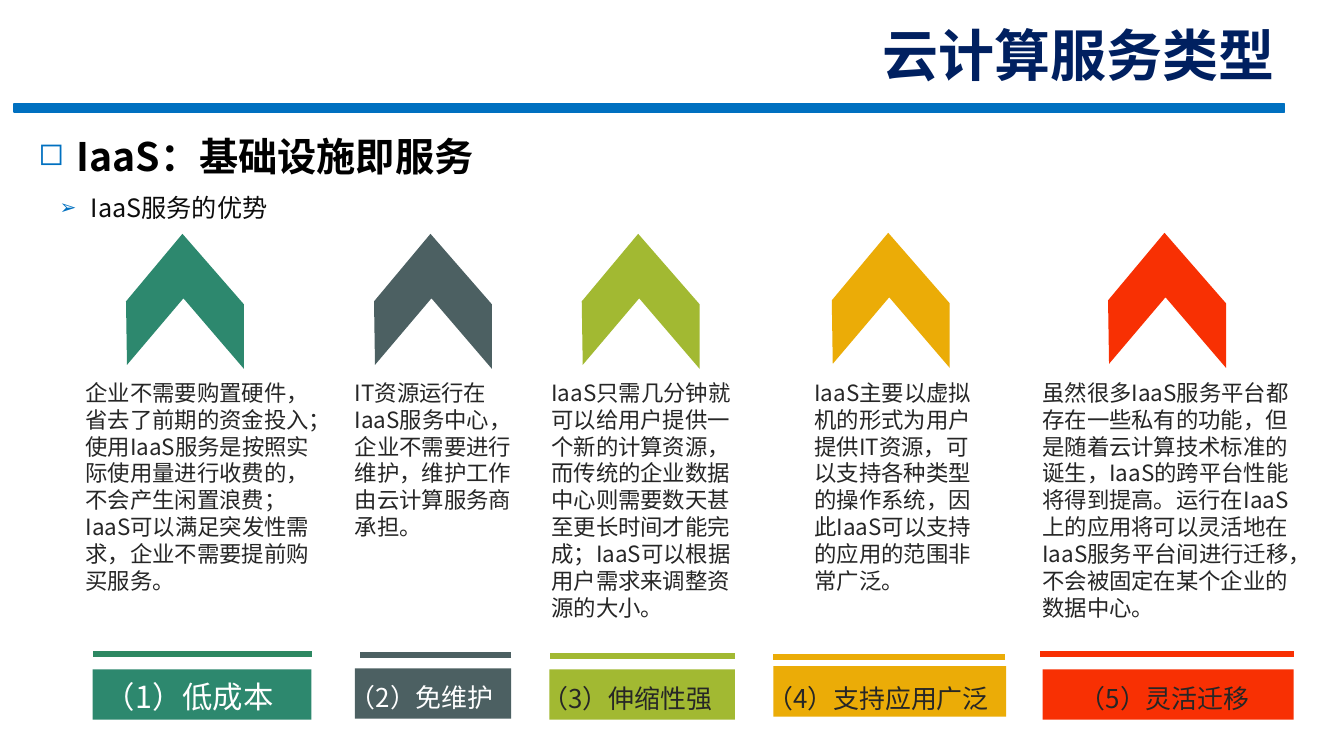
from lxml import etree
from pptx import Presentation
from pptx import util as u
from pptx.dml.color import RGBColor
from pptx.enum import shapes, text
from pptx.oxml.ns import qn

PX = 9144  # EMU per px, 100 px to the inch
CJK = "Noto Sans CJK SC"
BLUE, DARK, WHITE = "0070C0", "262626", "FFFFFF"
BODY_TOP, LABEL_HEIGHT = 371, 50
CHEVRON = [(117, 70), (117, 134), (57, 64), (1, 130), (0, 67), (56, 0)]

# One column per advantage; spans are (left, width), places are (left, top)
COLUMNS = [
    dict(fill="2D886E", rule_color="2D8862", chevron=(125, 232), rule=(92, 217, 649),
         bar=(92, 664, 217), body=(75, 250, 225), label=(94, 664, 215),
         name="（1）低成本", name_color=WHITE,
         detail="企业不需要购置硬件，省去了前期的资金投入；使用IaaS服务是按照实际使用量进行收费的，"
                "不会产生闲置浪费；IaaS可以满足突发性需求，企业不需要提前购买服务。"),
    dict(fill="4C6062", chevron=(371, 232), rule=(357, 150, 650),
         bar=(352, 663, 155), body=(342, 182, 172), label=(334, 663, 194),
         name="（2）免维护", name_color=WHITE,
         detail="IT资源运行在IaaS服务中心，企业不需要进行维护，维护工作由云计算服务商承担。"),
    dict(fill="A2B932", chevron=(577, 232), rule=(545, 184, 651),
         bar=(545, 664, 184), body=(537, 208, 252), label=(525, 664, 214),
         name="（3）伸缩性强", name_color=DARK,
         detail="IaaS只需几分钟就可以给用户提供一个新的计算资源，而传统的企业数据中心则需要数天甚至"
                "更长时间才能完成；IaaS可以根据用户需求来调整资源的大小。"),
    dict(fill="EBAC07", chevron=(825, 231), rule=(767, 230, 652),
         bar=(767, 661, 231), body=(798, 187, 225), label=(748, 664, 262),
         name="（4）支持应用广泛", name_color=DARK,
         detail="IaaS主要以虚拟机的形式为用户提供IT资源，可以支持各种类型的操作系统，"
                "因此IaaS可以支持的应用的范围非常广泛。"),
    dict(fill="F83003", chevron=(1099, 231), rule=(1032, 251, 649),
         bar=(1034, 664, 249), body=(1024, 268, 252), label=(1058, 664, 209),
         name="（5）灵活迁移", name_color=DARK,
         detail="虽然很多IaaS服务平台都存在一些私有的功能，但是随着云计算技术标准的诞生，"
                "IaaS的跨平台性能将得到提高。运行在IaaS上的应用将可以灵活地在IaaS服务平台间进行迁移，"
                "不会被固定在某个企业的数据中心。"),
]


def px(*lengths):
    return [u.Emu(length * PX) for length in lengths]


def color(value):
    return RGBColor.from_string(value)


def set_values(target, values):
    for name, value in values.items():
        setattr(target, name, value)


def paint(shape, fill, line=None):
    shape.shadow.inherit = False
    shape.fill.solid()
    shape.fill.fore_color.rgb = color(fill)
    if line:
        shape.line.color.rgb = color(line)
        shape.line.width = u.Pt(1)
    else:
        shape.line.fill.background()


def set_bullet(paragraph, char=None, size=80, indent=0):
    properties = paragraph._p.get_or_add_pPr()
    properties.set("marL", str(indent * PX))
    properties.set("indent", str(-indent * PX))
    if not char:
        etree.SubElement(properties, qn("a:buNone"))
        return
    bullet_color = etree.SubElement(properties, qn("a:buClr"))
    etree.SubElement(bullet_color, qn("a:srgbClr")).set("val", BLUE)
    etree.SubElement(properties, qn("a:buSzPct")).set("val", str(size * 1000))
    etree.SubElement(properties, qn("a:buChar")).set("char", char)


def write(shape, wording, size, ink, latin=CJK, bold=False, bullet=None,
          frame=None, paragraph_format=None):
    text_frame = shape.text_frame
    set_values(text_frame, {"word_wrap": True, "auto_size": text.MSO_AUTO_SIZE.NONE,
                            "vertical_anchor": text.MSO_ANCHOR.TOP, **(frame or {})})
    paragraph = text_frame.paragraphs[0]
    if bullet is not None:
        set_bullet(paragraph, **bullet)
    set_values(paragraph, {"alignment": text.PP_ALIGN.LEFT, "space_before": u.Pt(0),
                           **(paragraph_format or {})})
    run = paragraph.add_run()
    run.text = wording
    set_values(run.font, {"size": u.Pt(size), "bold": bold, "name": latin})
    run.font.color.rgb = color(ink)
    east_asian = etree.Element(qn("a:ea"), typeface=CJK)
    run.font._element.find(qn("a:latin")).addnext(east_asian)


def place(placeholder, *box):
    """Move a placeholder to its box and bring it to the front."""
    set_values(placeholder, dict(zip(("left", "top", "width", "height"), px(*box))))
    placeholder.element.getparent().append(placeholder.element)
    return placeholder


def add_bar(parent, box, fill, line=None):
    paint(parent.add_shape(shapes.MSO_SHAPE.RECTANGLE, *px(*box)), fill, line)


def add_chevron(slide, left, top, fill):
    points = [(left + x, top + y) for x, y in CHEVRON]
    builder = slide.shapes.build_freeform(*points[0], scale=PX)
    builder.add_line_segments(points[1:], close=True)
    paint(builder.convert_to_shape(), fill)


def add_rule(slide, left, width, y, ink):
    rule = slide.shapes.add_connector(shapes.MSO_CONNECTOR.STRAIGHT,
                                      *px(left + width, y, left, y))
    rule.line.color.rgb = color(ink)
    rule.line.width = u.Pt(4.5)
    etree.SubElement(rule.element.spPr, qn("a:effectLst"))


def add_column(slide, column, label_placeholder=None):
    left, top, width = column["bar"]
    add_bar(slide.shapes, (left, top, width, LABEL_HEIGHT), column["fill"])
    add_chevron(slide, *column["chevron"], column["fill"])
    add_rule(slide, *column["rule"], column.get("rule_color", column["fill"]))

    left, width, height = column["body"]
    detail = slide.shapes.add_textbox(*px(left, BODY_TOP, width, height))
    write(detail, column["detail"], 16, DARK)

    label_box = (*column["label"], LABEL_HEIGHT)
    if label_placeholder is not None:
        write(place(label_placeholder, *label_box), column["name"], 21.7,
              column["name_color"], bullet={}, paragraph_format={"line_spacing": 1.1})
    else:
        side, edge = px(13, 7)
        write(slide.shapes.add_textbox(*px(*label_box)), column["name"], 18.5,
              column["name_color"], paragraph_format={"line_spacing": 1.2},
              frame={"margin_left": side, "margin_right": side,
                     "margin_top": edge, "margin_bottom": edge})


def add_header(slide):
    header = slide.shapes.add_group_shape().shapes
    add_bar(header, (14, 103, 1260, 8), BLUE, BLUE)
    write(header.add_textbox(*px(641, 34, 633, 58)), "云计算服务类型", 40, "002060",
          latin="Cabin", bold=True, frame={"vertical_anchor": text.MSO_ANCHOR.BOTTOM},
          paragraph_format={"alignment": text.PP_ALIGN.RIGHT})


def main():
    presentation = Presentation()
    presentation.slide_width, presentation.slide_height = px(1333, 750)
    slide = presentation.slides.add_slide(presentation.slide_layouts[3])
    title, subtitle, first_label = slide.placeholders

    # Advantages, the first one labelled by a body placeholder
    for column, label in zip(COLUMNS, [first_label] + [None] * 4):
        add_column(slide, column, label)

    # Heading and subheading
    add_header(slide)
    write(place(title, 28, 124, 1150, 62), "IaaS：基础设施即服务", 28, "000000", bold=True,
          bullet={"char": "◻", "indent": 38},
          frame={"vertical_anchor": text.MSO_ANCHOR.MIDDLE})
    write(place(subtitle, 49, 168, 1175, 51), "IaaS服务的优势", 18, "0D0D0D",
          bullet={"char": "➢", "indent": 31},
          paragraph_format={"line_spacing": 1.6})

    presentation.save("out.pptx")


if __name__ == "__main__":
    main()
